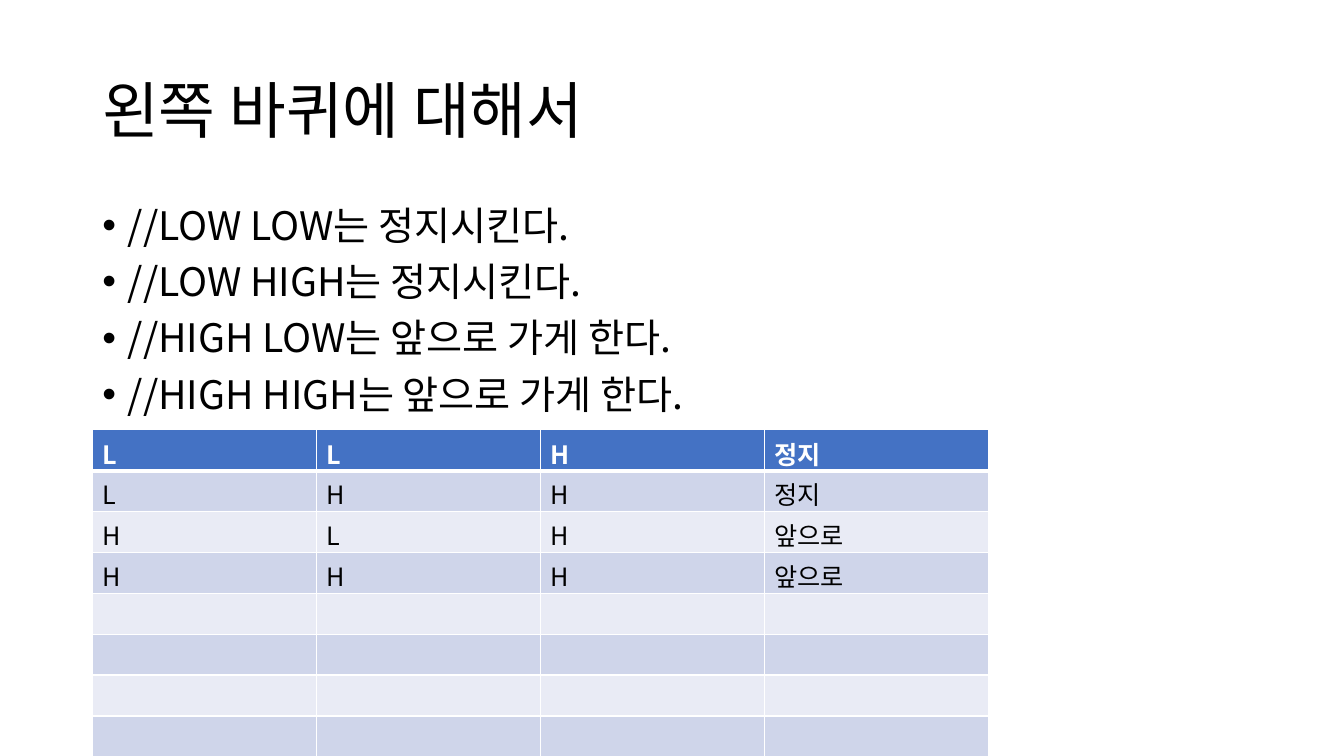
from lxml import etree
from pptx import Presentation
from pptx import util as u
from pptx.dml.color import RGBColor
from pptx.enum import text
from pptx.oxml.ns import qn

FONT = "Noto Sans CJK KR"
COLORS = {"text": "000000", "white": "FFFFFF", "header": "4472C4",
          "odd": "CFD5EA", "even": "E9EBF5"}


class Deck:
    """Holds the style and the current slide."""

    def __init__(self, width, height):
        self.prs = Presentation()
        self.prs.slide_width, self.prs.slide_height = u.Cm(width), u.Cm(height)
        self.s = self.prs.slides.add_slide(self.prs.slide_layouts[6])

    def rgb(self, name):
        return RGBColor.from_string(COLORS[name])

    def faces(self, props):
        for tag in ("a:latin", "a:ea"):
            for old in props.findall(qn(tag)):
                props.remove(old)
            etree.SubElement(props, qn(tag), typeface=FONT)

    def run(self, p, words, color="text", **fmt):
        r = p.add_run()
        r.text = words
        r.font.color.rgb = self.rgb(color)
        for name, value in fmt.items():
            setattr(r.font, name, value)
        self.faces(r._r.get_or_add_rPr())

    def bullet(self, p):
        ppr = p._p.get_or_add_pPr()
        ppr.set("marL", str(u.Cm(0.64)))
        ppr.set("indent", str(-u.Cm(0.64)))
        etree.SubElement(ppr, qn("a:buFont"), typeface="Arial")
        etree.SubElement(ppr, qn("a:buChar"), char="•")

    def textbox(self, box, lines, size, anchor, bullets=False):
        sp = self.s.shapes.add_textbox(*map(u.Cm, box))
        tf = sp.text_frame
        for name, value in {"word_wrap": True, "vertical_anchor": anchor}.items():
            setattr(tf, name, value)
        for i, line in enumerate(lines):
            p = tf.add_paragraph() if i else tf.paragraphs[0]
            p.line_spacing = 0.9
            if bullets:
                p.space_before = u.Pt(10)
                self.bullet(p)
            self.run(p, line, size=u.Pt(size))

    def borders(self, cell, bottom):
        tcpr = cell._tc.get_or_add_tcPr()
        for i, side in enumerate(("lnL", "lnR", "lnT", "lnB")):
            width = bottom if side == "lnB" else 1
            ln = etree.Element(qn(f"a:{side}"), w=str(u.Pt(width)))
            fill = etree.SubElement(ln, qn("a:solidFill"))
            etree.SubElement(fill, qn("a:srgbClr"), val=COLORS["white"])
            tcpr.insert(i, ln)

    def table(self, box, rows, row_count):
        cols = len(rows[0])
        tbl = self.s.shapes.add_table(row_count, cols, *map(u.Cm, box)).table
        for i in range(row_count):
            head = i == 0
            fill = "header" if head else ("even", "odd")[i % 2]
            for j in range(cols):
                cell = tbl.cell(i, j)
                cell.fill.solid()
                cell.fill.fore_color.rgb = self.rgb(fill)
                self.borders(cell, 3 if head else 1)
                p = cell.text_frame.paragraphs[0]
                if i < len(rows):
                    self.run(p, rows[i][j], "white" if head else "text",
                             size=u.Pt(18), bold=head)
                else:
                    # Empty cells keep the same line height
                    self.faces(etree.SubElement(p._p, qn("a:endParaRPr"), sz="1800"))


deck = Deck(33.87, 19.05)

# Title
deck.textbox((2.33, 1.01, 29.21, 3.68), ["왼쪽 바퀴에 대해서"], 44,
             text.MSO_ANCHOR.MIDDLE)

# Wheel rules
deck.textbox((2.33, 5.07, 29.21, 12.09),
             ["//LOW LOW는 정지시킨다.", "//LOW HIGH는 정지시킨다.",
              "//HIGH LOW는 앞으로 가게 한다.", "//HIGH HIGH는 앞으로 가게 한다."],
             28, text.MSO_ANCHOR.TOP, bullets=True)

# Signal table
deck.table((2.33, 10.83, 22.58, 8.24),
           [("L", "L", "H", "정지"), ("L", "H", "H", "정지"),
            ("H", "L", "H", "앞으로"), ("H", "H", "H", "앞으로")], 8)

deck.prs.save("out.pptx")
